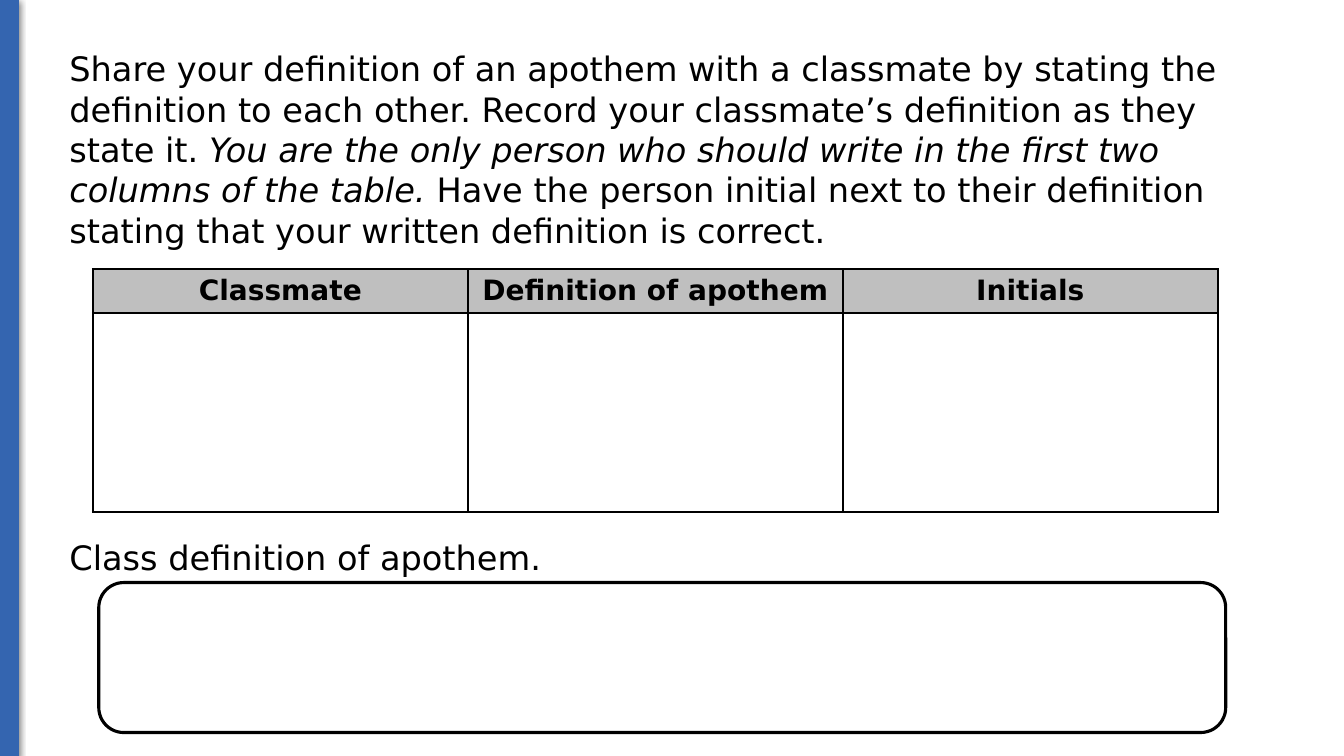
import pptx
import pptx.chart
import pptx.dml.color
import pptx.enum.shapes
import pptx.enum.text
import pptx.oxml
import pptx.oxml.ns
import pptx.util

Cm = pptx.util.Cm
Pt = pptx.util.Pt
SHAPE = pptx.enum.shapes.MSO_SHAPE

FONT = "DejaVu Sans"
COLORS = {"bar": "3465B0", "ink": "000000", "head": "BFBFBF"}

TASK = [
    ("Share your definition of an apothem with a classmate by stating the "
     "definition to each other. Record your classmate’s definition as they "
     "state it. ", False),
    ("You are the only person who should write in the first two columns of "
     "the table.", True),
    (" Have the person initial next to their definition stating that your "
     "written definition is correct.", False),
]
HEADS = ["Classmate", "Definition of apothem", "Initials"]


def color(name):
    return pptx.dml.color.RGBColor.from_string(COLORS[name])


def style(font, size, bold=False, slant=False):
    font.name, font.size = FONT, Pt(size)
    font.bold, font.italic = bold, slant
    font.color.rgb = color("ink")


def add_bar(slide, left, top, width, height):
    bar = slide.shapes.add_shape(SHAPE.RECTANGLE, left, top, width, height)
    bar.fill.solid()
    bar.fill.fore_color.rgb = color("bar")
    bar.line.color.rgb = color("bar")
    bar.line.width = Pt(0.75)
    # Soft shadow below the bar
    bar._element.spPr.append(pptx.oxml.parse_xml(
        f'<a:effectLst {pptx.oxml.ns.nsdecls("a")}>'
        f'<a:outerShdw blurRad="{Pt(4.5)}" dist="{Pt(1.5)}" dir="5400000">'
        f'<a:srgbClr val="{COLORS["ink"]}"><a:alpha val="50000"/></a:srgbClr>'
        '</a:outerShdw></a:effectLst>'))


def add_text(slide, left, top, width, height, parts):
    frame = slide.shapes.add_textbox(left, top, width, height).text_frame
    frame.word_wrap = True
    for text, slant in parts:
        run = frame.paragraphs[0].add_run()
        run.text = text
        style(run.font, 24, slant=slant)


def add_edges(cell):
    props = cell._tc.get_or_add_tcPr()
    for side in "LRTB":
        props.append(pptx.oxml.parse_xml(
            f'<a:ln{side} {pptx.oxml.ns.nsdecls("a")} w="{Pt(1.5)}">'
            f'<a:solidFill><a:srgbClr val="{COLORS["ink"]}"/></a:solidFill>'
            f'</a:ln{side}>'))


def add_grid(slide, left, top, width, height):
    grid = slide.shapes.add_table(2, len(HEADS), left, top, width, height).table
    grid.first_row = grid.horz_banding = False
    grid.rows[0].height = Cm(1.09)
    grid.rows[1].height = height - Cm(1.09)
    for col, head in enumerate(HEADS):
        top_cell, blank = grid.cell(0, col), grid.cell(1, col)
        add_edges(top_cell)
        add_edges(blank)
        blank.fill.background()
        top_cell.fill.solid()
        top_cell.fill.fore_color.rgb = color("head")
        para = top_cell.text_frame.paragraphs[0]
        para.text = head
        para.alignment = pptx.enum.text.PP_ALIGN.CENTER
        style(para.runs[0].font, 20, bold=True)


def add_frame(slide, left, top, width, height):
    frame = slide.shapes.add_shape(
        SHAPE.ROUNDED_RECTANGLE, left, top, width, height)
    frame.shadow.inherit = False
    frame.fill.background()
    frame.line.color.rgb = color("ink")
    frame.line.width = Pt(2.25)


def main():
    deck = pptx.Presentation()
    deck.slide_width, deck.slide_height = Cm(33.87), Cm(19.05)
    slide = deck.slides.add_slide(deck.slide_layouts[6])

    # Side bar
    add_bar(slide, Cm(-0.13), Cm(-0.03), Cm(0.61), Cm(19.08))
    # Task and table for classmates
    add_text(slide, Cm(1.5), Cm(1.09), Cm(30.61), Cm(5.4), TASK)
    add_grid(slide, Cm(2.34), Cm(6.78), Cm(28.35), Cm(6.1))
    # Class answer
    add_text(slide, Cm(1.5), Cm(13.4), Cm(30.61), Cm(1.28),
             [("Class definition of apothem.", False)])
    add_frame(slide, Cm(2.49), Cm(14.68), Cm(28.4), Cm(3.78))

    deck.save("out.pptx")


if __name__ == "__main__":
    main()
